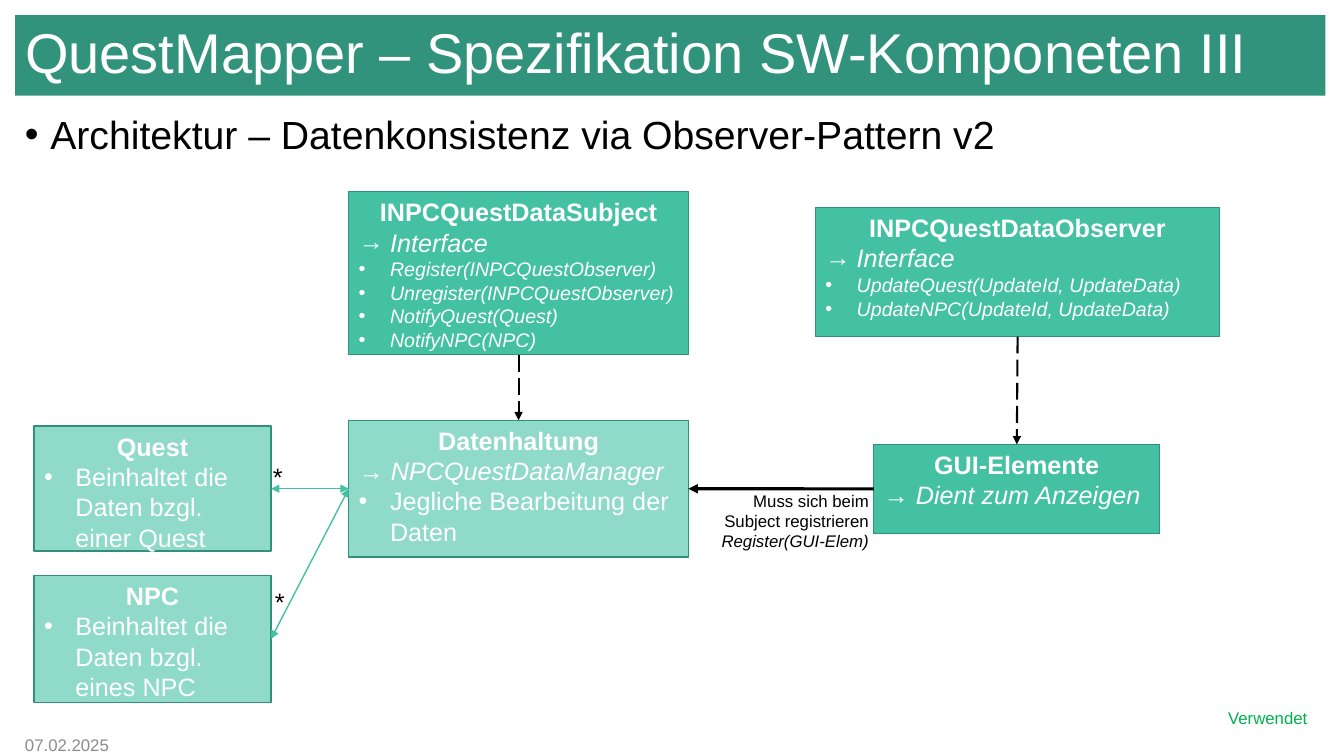
"""Build the slide on the observer-based software architecture."""
from dataclasses import dataclass

from lxml import etree
from pptx import Presentation
from pptx.dml.color import RGBColor
from pptx.enum.dml import MSO_LINE
from pptx.enum.shapes import MSO_CONNECTOR, MSO_SHAPE
from pptx.enum.text import MSO_ANCHOR, MSO_AUTO_SIZE, PP_ALIGN
from pptx.oxml.ns import qn
from pptx.util import Cm, Pt

LEFT, CENTER, RIGHT = PP_ALIGN.LEFT, PP_ALIGN.CENTER, PP_ALIGN.RIGHT
TOP, MIDDLE = MSO_ANCHOR.TOP, MSO_ANCHOR.MIDDLE
RECTANGLE, STRAIGHT = MSO_SHAPE.RECTANGLE, MSO_CONNECTOR.STRAIGHT
LONG_DASH, NO_AUTOFIT = MSO_LINE.LONG_DASH, MSO_AUTO_SIZE.NONE
SITE_TOP, SITE_LEFT, SITE_BOTTOM, SITE_RIGHT = range(4)


@dataclass(frozen=True)
class Theme:
    """Colours, font and type sizes of the slide."""
    font: str = "Arial"
    banner: str = "31937B"
    strong: str = "44C1A3"
    soft: str = "8FDAC8"
    border: str = "328F79"
    white: str = "FFFFFF"
    black: str = "000000"
    gray: str = "8C8C8C"
    green: str = "00B050"
    title: int = 40
    topic: int = 28
    body: int = 18
    method: int = 14
    small: int = 12


THEME = Theme()


def rgb(color):
    """Turn a hex string into a colour."""
    return RGBColor.from_string(color)


def place(shape, left, top, width, height):
    """Set position and size in centimetres."""
    shape.left, shape.top = Cm(left), Cm(top)
    shape.width, shape.height = Cm(width), Cm(height)


def fill_shape(shape, color):
    """Fill a shape with one colour."""
    shape.fill.solid()
    shape.fill.fore_color.rgb = rgb(color)


def prepare_frame(shape, anchor=TOP):
    """Make a shape's text wrap at a fixed size and return its frame."""
    frame = shape.text_frame
    frame.word_wrap = True
    frame.auto_size = NO_AUTOFIT
    frame.vertical_anchor = anchor
    return frame


def set_bullet(paragraph, bullet, indent):
    """Give a paragraph a bullet character and a hanging indent."""
    properties = paragraph._p.get_or_add_pPr()
    properties.set("marL", str(Cm(indent)))
    properties.set("indent", str(-Cm(indent)))
    etree.SubElement(properties, qn("a:buFont"), typeface=THEME.font)
    etree.SubElement(properties, qn("a:buChar"), char=bullet)


def write(frame, text, size=THEME.body, color=THEME.white, bold=False, italic=False,
          align=LEFT, lead="", bullet=None, indent=0.79, line_spacing=None, before=0):
    """Write one paragraph, with an optional upright lead before its text."""
    first = frame.paragraphs[0]
    paragraph = frame.add_paragraph() if first.runs else first
    paragraph.alignment = align
    paragraph.space_before = Pt(before)
    if line_spacing:
        paragraph.line_spacing = line_spacing
    if bullet:
        set_bullet(paragraph, bullet, indent)
    for part, slanted in ((lead, False), (text, italic)):
        if part:
            run = paragraph.add_run()
            run.text = part
            font = run.font
            font.name, font.size, font.color.rgb = THEME.font, Pt(size), rgb(color)
            font.bold, font.italic = bold, slanted


def add_title(slide, text):
    """Format the title placeholder as a coloured banner."""
    title = slide.shapes.title
    place(title, 0.38, 0.38, 33.02, 2.03)
    fill_shape(title, THEME.banner)
    write(prepare_frame(title, MIDDLE), text, size=THEME.title, line_spacing=0.9)


def add_text(slide, box, anchor=TOP):
    """Add an empty text box and return its frame."""
    return prepare_frame(slide.shapes.add_textbox(*map(Cm, box)), anchor)


def add_component(slide, box, color, name, lines):
    """Add a component box with a bold name above its formatted lines."""
    shape = slide.shapes.add_shape(RECTANGLE, *map(Cm, box))
    shape.shadow.inherit = False
    fill_shape(shape, color)
    shape.line.color.rgb = rgb(THEME.border)
    shape.line.width = Pt(1)
    frame = prepare_frame(shape)
    write(frame, name, bold=True, align=CENTER)
    for text, style in lines:
        write(frame, text, **style)
    return shape


def add_interface(slide, box, name, methods):
    """Add an interface box that lists its methods."""
    lines = [("Interface", {"italic": True, "bullet": "→"})]
    method_style = {"italic": True, "bullet": "•", "size": THEME.method}
    lines += [(method, method_style) for method in methods]
    return add_component(slide, box, THEME.strong, name, lines)


def add_arrow(slide, source, source_site, target, target_site,
              color=THEME.black, width=1.5, dash=None, both_ends=False):
    """Join two components with an arrow."""
    connector = slide.shapes.add_connector(STRAIGHT, 0, 0, 0, 0)
    connector.begin_connect(source, source_site)
    connector.end_connect(target, target_site)
    line = connector.line
    line.color.rgb = rgb(color)
    line.width = Pt(width)
    if dash:
        line.dash_style = dash
    outline = line._get_or_add_ln()
    for end in ("a:headEnd", "a:tailEnd") if both_ends else ("a:tailEnd",):
        etree.SubElement(outline, qn(end), type="triangle")
    etree.SubElement(connector._element.spPr, qn("a:effectLst"))


def add_components(slide):
    """Add the component boxes and the arrows between them."""
    manager = add_component(slide, (8.79, 10.59, 8.56, 3.45), THEME.soft, "Datenhaltung", [
        ("NPCQuestDataManager", {"lead": "→ ", "italic": True}),
        ("Jegliche Bearbeitung der Daten", {"bullet": "•"})])
    gui = add_component(slide, (22.02, 11.2, 7.21, 2.24), THEME.strong, "GUI-Elemente", [
        ("Dient zum Anzeigen", {"lead": "→ ", "italic": True})])
    subject = add_interface(slide, (8.79, 4.83, 8.56, 4.11), "INPCQuestDataSubject", [
        "Register(INPCQuestObserver)", "Unregister(INPCQuestObserver)",
        "NotifyQuest(Quest)", "NotifyNPC(NPC)"])
    observer = add_interface(slide, (20.55, 5.23, 10.19, 3.25), "INPCQuestDataObserver", [
        "UpdateQuest(UpdateId, UpdateData)", "UpdateNPC(UpdateId, UpdateData)"])

    for name, article, top, height, star in (("Quest", "einer", 10.74, 3.15, (6.63, 11.51)),
                                             ("NPC", "eines", 14.5, 3.2, (6.68, 14.66))):
        entity = add_component(slide, (0.86, top, 5.97, height), THEME.soft, name, [
            (f"Beinhaltet die Daten bzgl. {article} {name}", {"bullet": "•"})])
        add_arrow(slide, entity, SITE_RIGHT, manager, SITE_LEFT,
                  color=THEME.strong, width=1, both_ends=True)
        write(add_text(slide, (*star, 0.64, 1.02)), "*", color=THEME.black)

    for interface, component in ((subject, manager), (observer, gui)):
        add_arrow(slide, interface, SITE_BOTTOM, component, SITE_TOP, dash=LONG_DASH)
    add_arrow(slide, gui, SITE_LEFT, manager, SITE_RIGHT, width=2.25)


def main():
    """Build and save the presentation."""
    presentation = Presentation()
    presentation.slide_width, presentation.slide_height = Cm(33.87), Cm(19.05)
    slide = presentation.slides.add_slide(presentation.slide_layouts[5])

    add_title(slide, "QuestMapper – Spezifikation SW-Komponeten III")
    write(add_text(slide, (0.38, 2.79, 32.79, 1.4)),
          "Architektur – Datenkonsistenz via Observer-Pattern v2", size=THEME.topic,
          color=THEME.black, bullet="•", indent=0.64, line_spacing=0.9, before=10)
    add_components(slide)

    note = add_text(slide, (17.45, 12.24, 4.7, 1.8))
    note_style = {"size": THEME.small, "color": THEME.black, "align": RIGHT}
    write(note, "Muss sich beim Subject registrieren", **note_style)
    write(note, "Register(GUI-Elem)", italic=True, **note_style)
    write(add_text(slide, (28.5, 17.7, 4.7, 0.76)), "Verwendet",
          size=THEME.small, color=THEME.green, align=RIGHT)
    write(add_text(slide, (0.38, 18.47, 7.62, 0.58), MIDDLE), "07.02.2025",
          size=THEME.small, color=THEME.gray)
    presentation.save("out.pptx")


if __name__ == "__main__":
    main()
